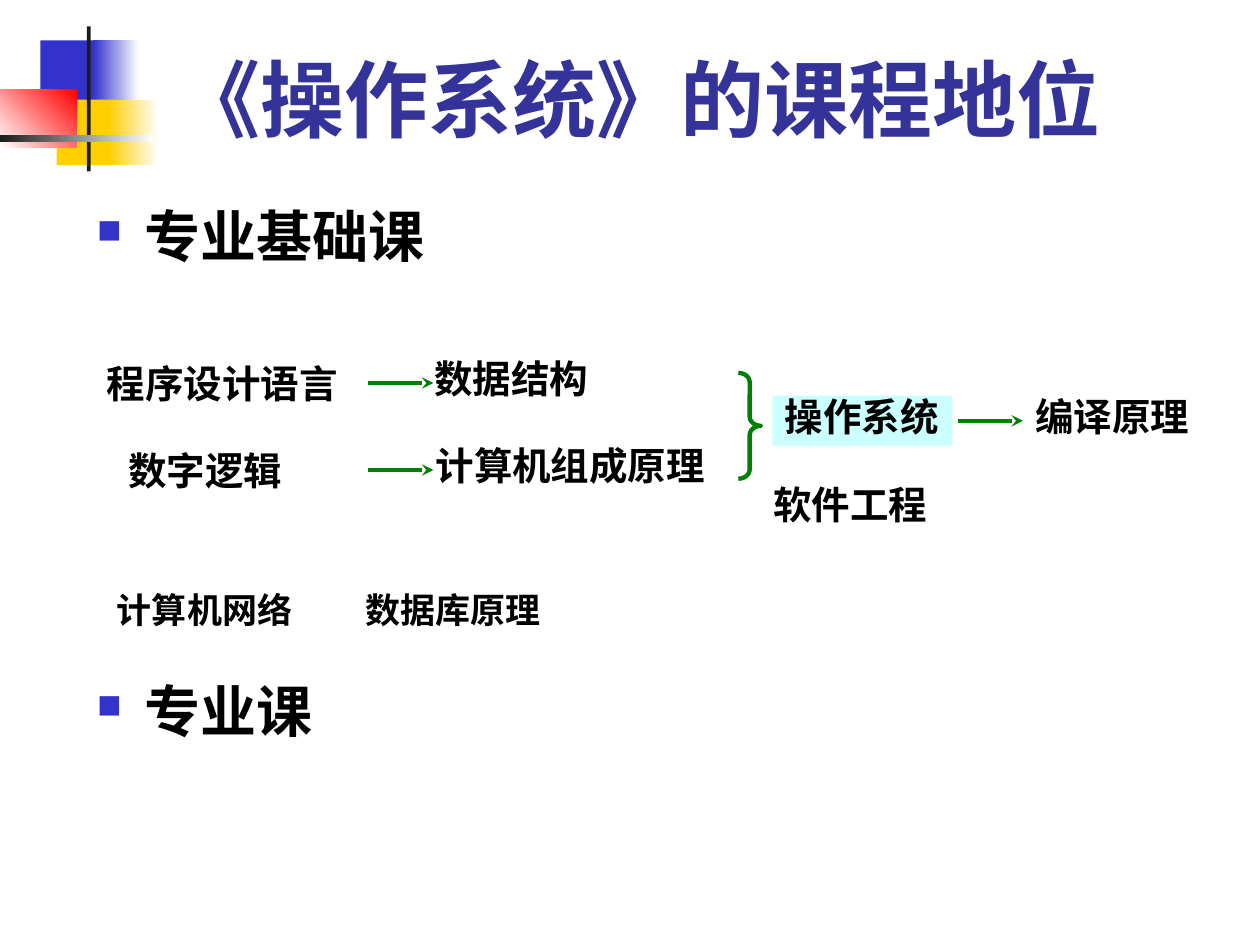
from lxml import etree
from pptx import Presentation, util as u
from pptx.dml.color import RGBColor
from pptx.enum import shapes, text
from pptx.oxml import ns

COLORS = {
    "blue": "3333CC", "title": "333399", "yellow": "FFCF01", "red": "FF0000",
    "dark": "1C1C1C", "white": "FFFFFF", "black": "000000",
    "green": "008000", "highlight": "CCFFFF",
}
FONT = "Karla"

ORNAMENTS = [
    (0.32, 0.32, 0.48, 0.52, ["blue"], 0),
    (0.74, 0.32, 0.36, 0.52, ["blue", "white"], 0),
    (0.45, 0.79, 0.46, 0.52, ["yellow"], 0),
    (0.86, 0.79, 0.4, 0.52, ["yellow", "white"], 0),
    (0, 0.71, 0.61, 0.46, ["white", "red"], 45),
    (0.69, 0.21, 0.03, 1.15, ["dark"], 0),
    (0, 1.07, 1.22, 0.06, ["dark", "white"], 0),
]
COURSES = [
    ("程序设计语言", 0.75, 2.88, 2.45, 0.77),
    ("数据结构", 3.35, 2.84, 1.5, 0.4),
    ("数字逻辑", 0.92, 3.57, 1.76, 0.4),
    ("计算机组成原理", 3.36, 3.53, 2.4, 0.4),
    ("编译原理", 8.12, 3.14, 1.45, 0.4),
    ("软件工程", 6.04, 3.84, 1.58, 0.4),
]
RELATED_COURSES = [("计算机网络", 0.83), ("数据库原理", 2.8)]
HEADINGS = [("专业基础课", 1.55), ("专业课", 5.32)]
ARROWS = [(2.92, 3.04), (2.92, 3.73), (7.6, 3.34)]
ARROW_LENGTH = 0.52


def rgb(name):
    return RGBColor.from_string(COLORS[name])


def apply(target, values):
    for name, value in values.items():
        setattr(target, name, value)


def inches(*lengths):
    return [u.Inches(length) for length in lengths]


def add_ornament(slide, left, top, width, height, tones, angle):
    block = slide.shapes.add_shape(
        shapes.MSO_SHAPE.RECTANGLE, *inches(left, top, width, height))
    block.shadow.inherit = False
    block.line.fill.background()
    if len(tones) == 1:
        block.fill.solid()
        block.fill.fore_color.rgb = rgb(tones[0])
        return
    block.fill.gradient()
    block.fill.gradient_angle = angle
    for stop, tone in zip(block.fill.gradient_stops, tones):
        stop.color.rgb = rgb(tone)


def add_label(slide, words, left, top, width, height, size, color="black",
              anchor=text.MSO_ANCHOR.TOP, **spacing):
    label = slide.shapes.add_textbox(*inches(left, top, width, height))
    apply(label.text_frame, {"word_wrap": True, "vertical_anchor": anchor})
    paragraph = label.text_frame.paragraphs[0]
    apply(paragraph, spacing)
    run = paragraph.add_run()
    run.text = words
    apply(run.font, {"name": FONT, "size": u.Pt(size), "bold": True})
    run.font.color.rgb = rgb(color)
    etree.SubElement(run.font._element, ns.qn("a:ea"), typeface=FONT)
    return label


def add_heading(slide, words, top):
    heading = add_label(slide, words, 0.67, top, 8.9, 0.79, 32,
                        space_before=u.Pt(8))
    properties = heading.text_frame.paragraphs[0]._p.get_or_add_pPr()
    indent = u.Inches(0.38)
    properties.set("marL", str(indent))
    properties.set("indent", str(-indent))
    bullet_color = etree.SubElement(properties, ns.qn("a:buClr"))
    etree.SubElement(bullet_color, ns.qn("a:srgbClr"), val=COLORS["blue"])
    etree.SubElement(properties, ns.qn("a:buSzPct"), val="60000")
    etree.SubElement(properties, ns.qn("a:buChar"), char="■")


def add_course(slide, words, left, top, width, height, size=22):
    return add_label(slide, words, left, top, width, height, size,
                     line_spacing=0.8, space_before=u.Pt(size / 4))


def add_arrow(slide, left, y):
    arrow = slide.shapes.add_connector(
        shapes.MSO_CONNECTOR.STRAIGHT, *inches(left, y, left + ARROW_LENGTH, y))
    arrow.line.color.rgb = rgb("green")
    arrow.line.width = u.Pt(2.25)
    etree.SubElement(arrow.line._get_or_add_ln(), ns.qn("a:tailEnd"),
                     type="stealth")
    etree.SubElement(arrow._element.spPr, ns.qn("a:effectLst"))


def add_brace(slide):
    brace = slide.shapes.add_shape(
        shapes.MSO_SHAPE.RIGHT_BRACE, *inches(5.86, 2.96, 0.18, 0.84))
    brace.shadow.inherit = False
    brace.fill.background()
    brace.line.color.rgb = rgb("green")
    brace.line.width = u.Pt(2.5)
    brace.adjustments[0] = 0.4


def main():
    deck = Presentation()
    apply(deck, {"slide_width": u.Inches(10), "slide_height": u.Inches(7.5)})
    slide = deck.slides.add_slide(deck.slide_layouts[6])

    for ornament in ORNAMENTS:
        add_ornament(slide, *ornament)
    add_label(slide, "《操作系统》的课程地位", 1.3, 0.21, 8.52, 1.02, 48,
              "title", text.MSO_ANCHOR.BOTTOM)
    for heading in HEADINGS:
        add_heading(slide, *heading)

    for course in COURSES:
        add_course(slide, *course)
    operating_systems = add_course(slide, "操作系统", 6.13, 3.14, 1.43, 0.4)
    operating_systems.fill.solid()
    operating_systems.fill.fore_color.rgb = rgb("highlight")
    for words, left in RELATED_COURSES:
        add_course(slide, words, left, 4.69, 1.97, 0.37, size=20)

    for arrow in ARROWS:
        add_arrow(slide, *arrow)
    add_brace(slide)
    deck.save("out.pptx")


if __name__ == "__main__":
    main()
